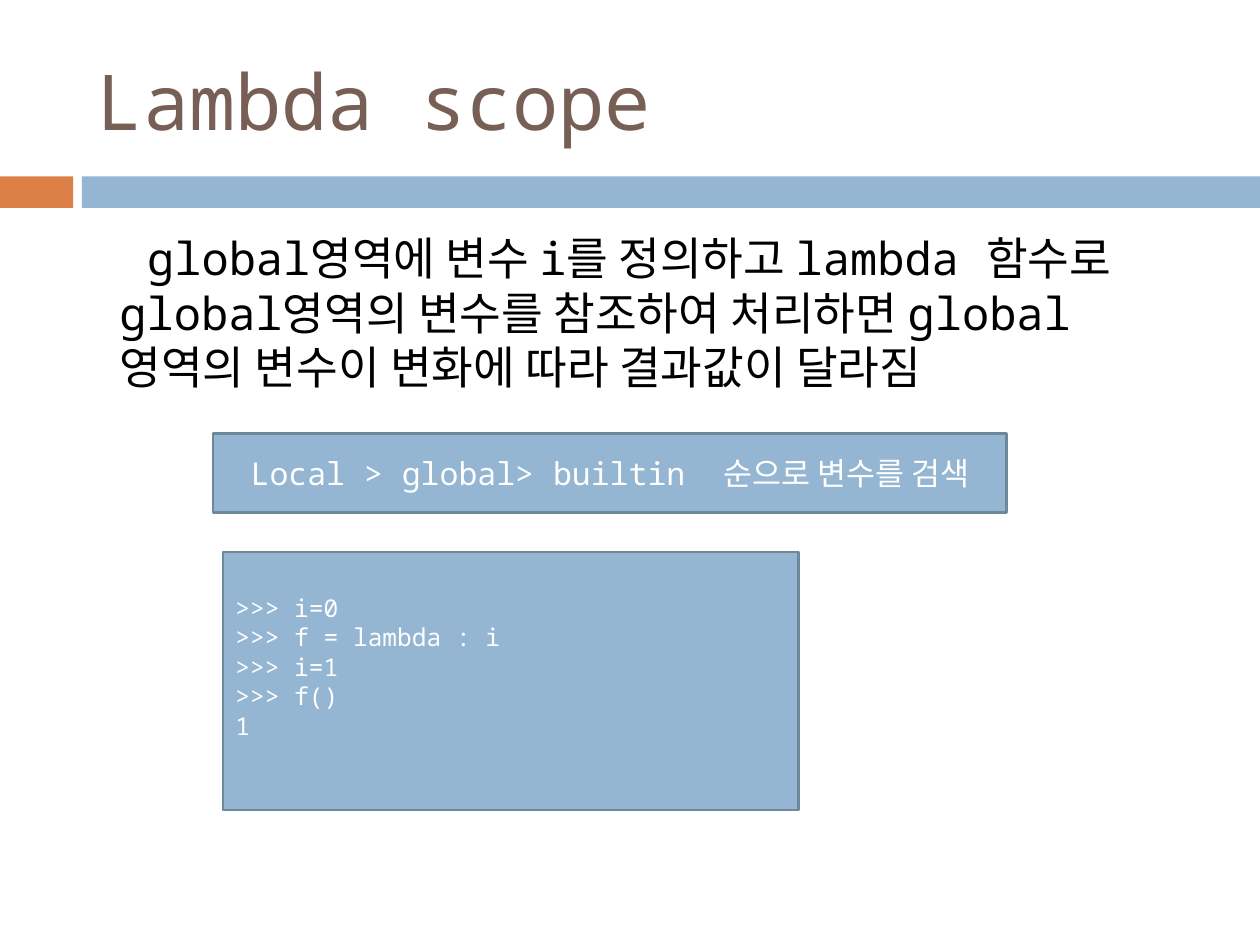
from pptx import Presentation
from pptx.dml.color import RGBColor
from pptx.enum.shapes import MSO_SHAPE as Shape
from pptx.enum.text import MSO_ANCHOR as Anchor, PP_ALIGN as Align
from pptx.util import Inches, Pt

COLORS = {
    "orange": "DD8047",
    "blue": "94B6D2",
    "outline": "6D879B",
    "title": "775F55",
    "body": "000000",
    "white": "FFFFFF",
}


class SlideBuilder:
    """Draws bars, text boxes and panels in one style on the current slide."""

    font_name = "Noto Sans Mono"

    def __init__(self, slide):
        self.slide = slide

    def color(self, name):
        return RGBColor.from_string(COLORS[name])

    def fill_text(self, shape, lines, size, color, anchor, align=Align.LEFT):
        frame = shape.text_frame
        frame.word_wrap = True
        frame.vertical_anchor = anchor
        frame.text = "\n".join(lines)
        for paragraph in frame.paragraphs:
            paragraph.alignment = align
            paragraph.font.name = self.font_name
            paragraph.font.size = Pt(size)
            paragraph.font.color.rgb = self.color(color)
        return frame

    def bar(self, box, fill):
        shape = self.slide.shapes.add_shape(Shape.RECTANGLE, *map(Inches, box))
        shape.shadow.inherit = False
        shape.fill.solid()
        shape.fill.fore_color.rgb = self.color(fill)
        shape.line.fill.background()
        return shape

    def text(self, box, line, size, color, anchor):
        shape = self.slide.shapes.add_textbox(*map(Inches, box))
        return self.fill_text(shape, [line], size, color, anchor)

    def panel(self, box, lines, size, align=Align.LEFT):
        shape = self.bar(box, "blue")
        shape.line.color.rgb = self.color("outline")
        shape.line.width = Pt(1.5)
        return self.fill_text(shape, lines, size, "white", Anchor.MIDDLE, align)


def main():
    presentation = Presentation()
    presentation.slide_width = Inches(10)
    presentation.slide_height = Inches(7.5)
    slide = presentation.slides.add_slide(presentation.slide_layouts[6])
    builder = SlideBuilder(slide)

    builder.bar((0, 1.4, 0.58, 0.25), "orange")
    builder.bar((0.65, 1.4, 9.35, 0.25), "blue")
    builder.text((0.67, 0.25, 8.92, 1.08), "Lambda scope", 44, "title", Anchor.MIDDLE)

    body = builder.text(
        (0.5, 1.78, 9, 1.73),
        "global영역에 변수 i를 정의하고 lambda 함수로 global영역의 변수를 참조하여 "
        "처리하면 global영역의 변수이 변화에 따라 결과값이 달라짐",
        25.9, "body", Anchor.TOP,
    )
    properties = body.paragraphs[0]._p.get_or_add_pPr()
    properties.set("marL", str(Inches(0.35)))
    properties.set("indent", str(Inches(0.22)))

    code = builder.panel(
        (1.77, 4.38, 4.57, 2.05),
        [">>> i=0", ">>> f = lambda : i", ">>> i=1", ">>> f()", "1"],
        14,
    )
    code.margin_bottom = Inches(0.28)
    builder.panel(
        (1.69, 3.44, 6.3, 0.63),
        ["Local > global> builtin  순으로 변수를 검색"],
        18, Align.CENTER,
    )
    presentation.save("out.pptx")


if __name__ == "__main__":
    main()
